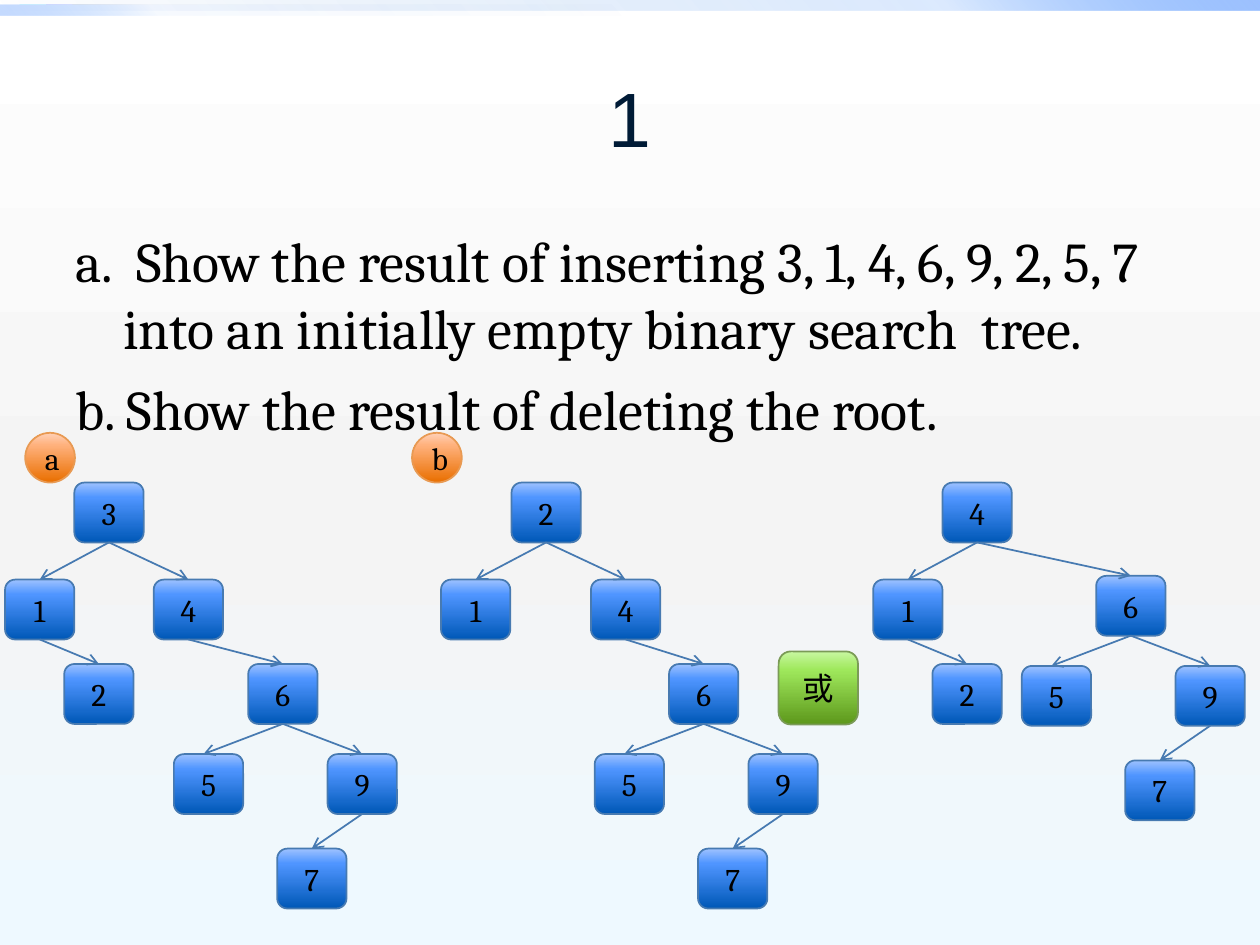
from lxml.etree import SubElement
from pptx import Presentation
from pptx.dml.color import RGBColor
from pptx.enum.shapes import MSO_CONNECTOR, MSO_SHAPE
from pptx.enum.text import MSO_ANCHOR, PP_ALIGN
from pptx.oxml.ns import qn
from pptx.util import Inches, Pt

UNIT = 0.1
NODE_WIDTH, NODE_HEIGHT = 5.5, 4.75
TOP, BOTTOM = 0, 2

BLACK = RGBColor(0x00, 0x00, 0x00)
NAVY = RGBColor(0x00, 0x1B, 0x36)
WHITE = RGBColor(0xFF, 0xFF, 0xFF)
GREY = RGBColor(0xF4, 0xF4, 0xF4)
ICE = RGBColor(0xEE, 0xF9, 0xFF)
DARK_BLUE = RGBColor(0x00, 0x58, 0xB7)
BLUE = RGBColor(0x4F, 0x95, 0xFF)
LIGHT_BLUE = RGBColor(0x9E, 0xC2, 0xFF)
BLUE_LINE = RGBColor(0x47, 0x7A, 0xB1)
DARK_GREEN = RGBColor(0x5D, 0x98, 0x1B)
GREEN = RGBColor(0x9F, 0xE8, 0x5C)
LIGHT_GREEN = RGBColor(0xC8, 0xF7, 0xA1)
GREEN_LINE = RGBColor(0x7B, 0x9B, 0x57)
DARK_ORANGE = RGBColor(0xE9, 0x6F, 0x00)
ORANGE = RGBColor(0xFF, 0xB1, 0x7C)
LIGHT_ORANGE = RGBColor(0xFF, 0xD1, 0xB8)
ORANGE_LINE = RGBColor(0xE8, 0x9A, 0x53)

BLUES = (DARK_BLUE, BLUE, LIGHT_BLUE)
GREENS = (DARK_GREEN, GREEN, LIGHT_GREEN)
ORANGES = (DARK_ORANGE, ORANGE, LIGHT_ORANGE)

ROWS = (0, 7.7, 14.4)
LEFT_BRANCH = {"1": (0, ROWS[1]), "2": (4.7, ROWS[2])}
SIX_BRANCH = {"6": (0, 0), "5": (-5.9, 7.15), "9": (6.3, 7.15), "7": (2.3, 14.65)}
SIX_EDGES = ("65", "69", "97")
ARROW_SHIFTS = {"5": -0.4}


def grid(*lengths):
    return [Inches(length * UNIT) for length in lengths]


def paint_gradient(fill, element, colors, positions=(0, 75, 100), angle=270, alphas=(100, 100, 100)):
    fill.gradient()
    gradient = element.find(".//" + qn("a:gradFill"))
    stops = gradient.find(qn("a:gsLst"))
    for stop in list(stops):
        stops.remove(stop)
    for color, position, alpha in zip(colors, positions, alphas):
        stop = SubElement(stops, qn("a:gs"), pos=str(position * 1000))
        value = SubElement(stop, qn("a:srgbClr"), val=str(color))
        if alpha < 100:
            SubElement(value, qn("a:alpha"), val=str(alpha * 1000))
    gradient.find(qn("a:lin")).set("ang", str(angle * 60000))


def write_text(shape, *texts, size=18, font="Cambria", color=BLACK, align=PP_ALIGN.CENTER,
               anchor=MSO_ANCHOR.MIDDLE, hanging=0, before=0):
    frame = shape.text_frame
    frame.word_wrap = True
    frame.vertical_anchor = anchor
    for index, text in enumerate(texts):
        paragraph = frame.add_paragraph() if index else frame.paragraphs[0]
        paragraph.alignment = align
        paragraph.space_before = Pt(before)
        if hanging:
            properties = paragraph._p.get_or_add_pPr()
            properties.set("marL", str(Inches(hanging)))
            properties.set("indent", str(-Inches(hanging)))
        run = paragraph.add_run()
        run.text = text
        run.font.size = Pt(size)
        run.font.name = font
        run.font.color.rgb = color


def add_gradient_shape(slide, kind, box, colors, line=None, **gradient):
    shape = slide.shapes.add_shape(kind, *grid(*box))
    shape.shadow.inherit = False
    paint_gradient(shape.fill, shape.element, colors, **gradient)
    if line is None:
        shape.line.fill.background()
    else:
        shape.line.color.rgb = line
        shape.line.width = Pt(1)
    return shape


def add_backdrop(slide, width):
    paint_gradient(slide.background.fill, slide.element, (WHITE, GREY, ICE),
                   positions=(0, 55, 100), angle=90)
    add_gradient_shape(slide, MSO_SHAPE.RECTANGLE, (0, 0, width, 0.8), BLUES,
                       angle=315, alphas=(0, 20, 100))
    add_gradient_shape(slide, MSO_SHAPE.RECTANGLE, (0, 0.4, width / 2, 0.8), BLUES,
                       angle=135, alphas=(0, 5, 60))


def add_title(slide, box, text):
    title = slide.shapes.add_textbox(*grid(*box))
    write_text(title, text, size=44, font="Arial", color=NAVY)


def add_questions(slide, box, texts):
    questions = slide.shapes.add_textbox(*grid(*box))
    write_text(questions, *texts, size=32, align=PP_ALIGN.LEFT, anchor=MSO_ANCHOR.TOP,
               hanging=0.38, before=7.5)


def add_label(slide, kind, box, text, colors, line):
    label = add_gradient_shape(slide, kind, box, colors, line)
    write_text(label, text)


def add_arrow(slide, parent, child, shift):
    start_x = parent.left + parent.width // 2
    end_x = child.left + child.width // 2 + Inches(shift * UNIT)
    arrow = slide.shapes.add_connector(
        MSO_CONNECTOR.STRAIGHT, start_x, parent.top + parent.height, end_x, child.top)
    arrow.begin_connect(parent, BOTTOM)
    if not shift:
        arrow.end_connect(child, TOP)
    arrow.line.color.rgb = BLUE_LINE
    arrow.line.width = Pt(1)
    SubElement(arrow.line._get_or_add_ln(), qn("a:tailEnd"), type="arrow")
    SubElement(arrow.element.spPr, qn("a:effectLst"))


def shift_branch(branch, column, row):
    return {key: (column + x, row + y) for key, (x, y) in branch.items()}


def add_tree(slide, left, top, places, edges):
    nodes = {}
    for key, (column, row) in places.items():
        box = (left + column, top + row, NODE_WIDTH, NODE_HEIGHT)
        nodes[key] = add_gradient_shape(slide, MSO_SHAPE.ROUNDED_RECTANGLE, box, BLUES, BLUE_LINE)
        write_text(nodes[key], key)
    for parent, child in edges:
        add_arrow(slide, nodes[parent], nodes[child], ARROW_SHIFTS.get(child, 0))


def main():
    presentation = Presentation()
    presentation.slide_width, presentation.slide_height = Inches(10), Inches(7.5)
    slide = presentation.slides.add_slide(presentation.slide_layouts[6])
    add_backdrop(slide, 100)
    add_title(slide, (5, 3, 90, 12.5), "1")
    add_questions(slide, (5, 17.5, 90, 49.5), (
        "a.  Show the result of inserting 3, 1, 4, 6, 9, 2, 5, 7 into an initially empty binary search  tree.",
        "b. Show the result of deleting the root.",
    ))

    tree_top = 38.3
    inserted = {"3": (5.5, 0), "4": (11.8, ROWS[1]), **LEFT_BRANCH,
                **shift_branch(SIX_BRANCH, 19.3, ROWS[2])}
    predecessor_root = {"2": (5.6, 0), "1": (0, ROWS[1]), "4": (11.9, ROWS[1]),
                        **shift_branch(SIX_BRANCH, 18.1, ROWS[2])}
    successor_root = {"4": (5.5, 0), **LEFT_BRANCH, **shift_branch(SIX_BRANCH, 17.7, 7.4)}
    add_tree(slide, 0.4, tree_top, inserted, ("31", "34", "12", "46", *SIX_EDGES))
    add_tree(slide, 35, tree_top, predecessor_root, ("21", "24", "46", *SIX_EDGES))
    add_tree(slide, 69.3, tree_top, successor_root, ("41", "46", "12", *SIX_EDGES))

    add_label(slide, MSO_SHAPE.ROUNDED_RECTANGLE, (61.8, 51.7, 6.3, 5.8), "或", GREENS, GREEN_LINE)
    for text, left in (("a", 2), ("b", 32.7)):
        add_label(slide, MSO_SHAPE.OVAL, (left, 34.35, 3.95, 3.95), text, ORANGES, ORANGE_LINE)
    presentation.save("out.pptx")


if __name__ == "__main__":
    main()
